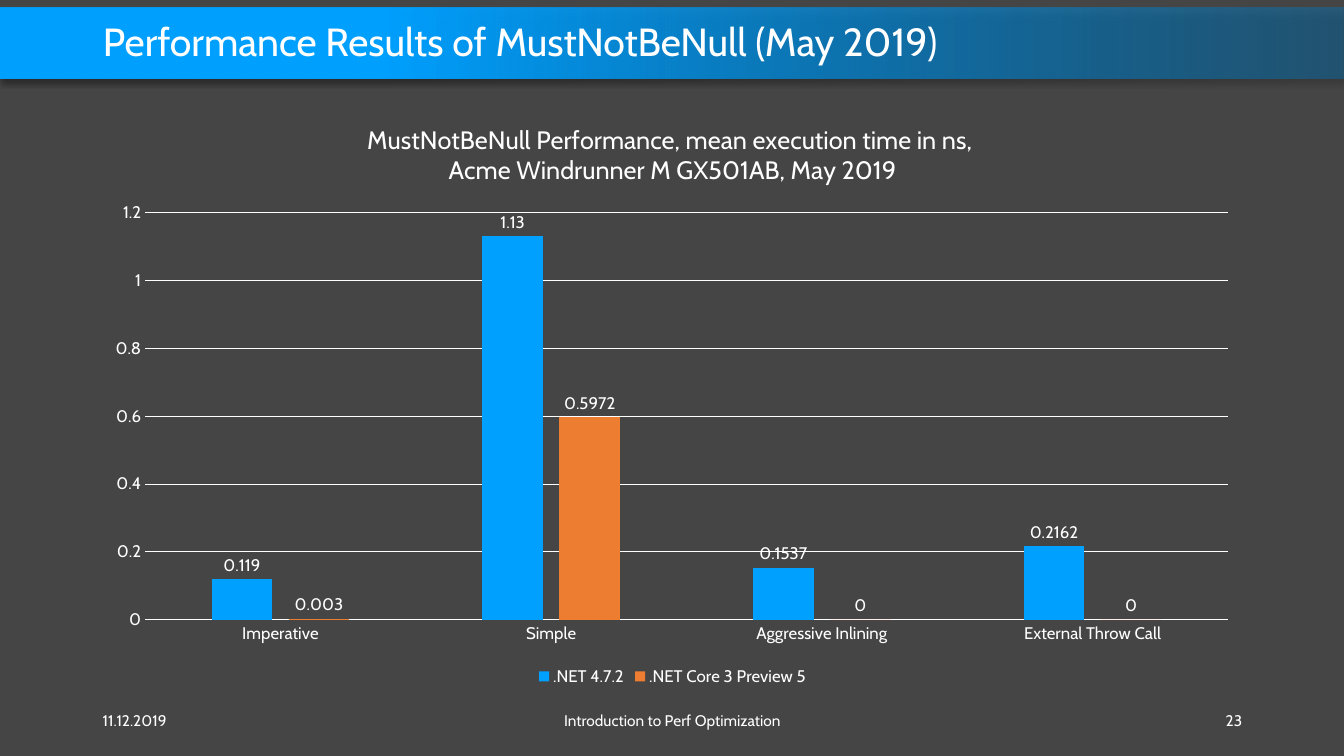
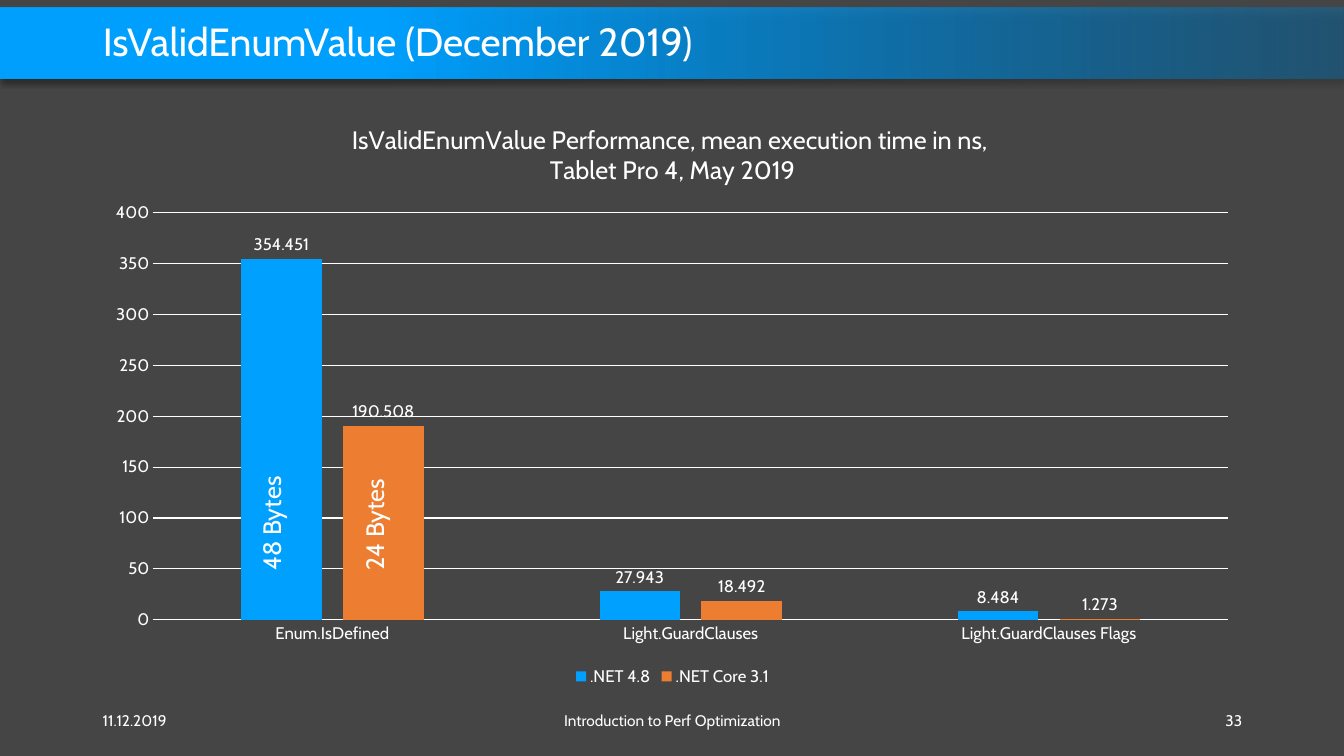
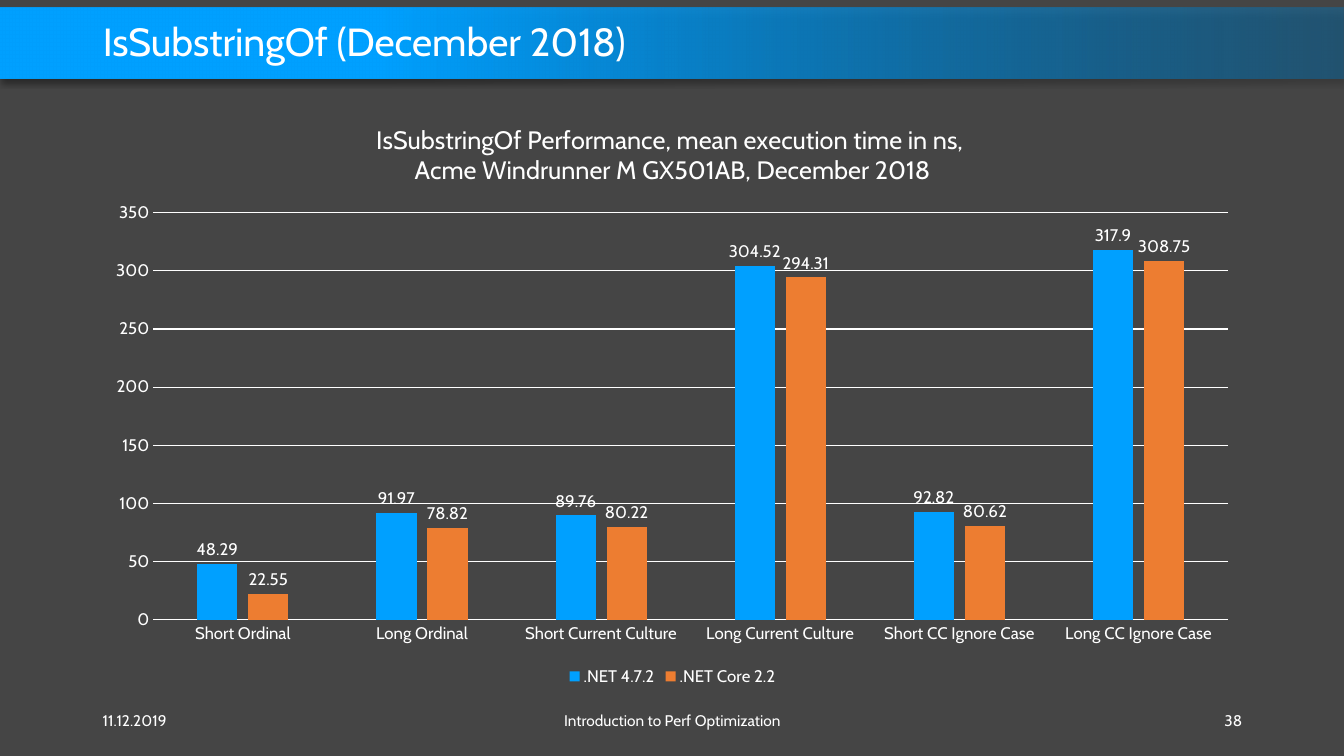
from lxml import etree
from pptx import Presentation
from pptx.chart.data import CategoryChartData
from pptx.dml.color import RGBColor
from pptx.enum.chart import XL_CHART_TYPE, XL_LABEL_POSITION, XL_LEGEND_POSITION, XL_TICK_MARK
from pptx.enum.shapes import MSO_SHAPE
from pptx.enum.text import MSO_ANCHOR, MSO_AUTO_SIZE, PP_ALIGN
from pptx.oxml import parse_xml
from pptx.oxml.ns import nsdecls, qn
from pptx.util import Inches, Pt

COLUMNS = XL_CHART_TYPE.COLUMN_CLUSTERED
OUTSIDE_END = XL_LABEL_POSITION.OUTSIDE_END
LEGEND_BOTTOM = XL_LEGEND_POSITION.BOTTOM
NO_TICK = XL_TICK_MARK.NONE
RECTANGLE = MSO_SHAPE.RECTANGLE
MIDDLE, TOP = MSO_ANCHOR.MIDDLE, MSO_ANCHOR.TOP
NO_FIT, GROW = MSO_AUTO_SIZE.NONE, MSO_AUTO_SIZE.SHAPE_TO_FIT_TEXT
LEFT, CENTER, RIGHT = PP_ALIGN.LEFT, PP_ALIGN.CENTER, PP_ALIGN.RIGHT

FONT = "Cabin"
COLORS = {
    "page": "454545",
    "text": "FFFFFF",
    "band_fade": "0078BF",
    "blue": "00A0FF",
    "orange": "ED7D31",
}

# Boxes are left, top, width, height in inches
SLIDE_SIZE = (13.33, 7.5)
BAND_BOX = (0, 0.08, SLIDE_SIZE[0], 0.7)
TITLE_BOX = (0.92, 0.16, 11.5, 0.55)
CHART_BOX = (0.92, 1.02, 11.5, 5.83)
FOOTER_BOX = (0.92, 6.95, 11.5, 0.4)
PLOT_TOP, PLOT_RIGHT, PLOT_BOTTOM = 1.09, 11.26, 5.13  # inside the chart box

DATE = "11.12.2019"
TALK = "Introduction to Perf Optimization"

PAGES = [
    {
        "title": "Performance Results of MustNotBeNull (May 2019)",
        "number": "23",
        "heading": ["MustNotBeNull Performance, mean execution time in ns, ",
                    "Acme Windrunner M GX501AB, May 2019"],
        "categories": ["Imperative", "Simple", "Aggressive Inlining", "External Throw Call"],
        "series": {".NET 4.7.2": [0.119, 1.13, 0.1537, 0.2162],
                   ".NET Core 3 Preview 5": [0.003, 0.5972, 0, 0]},
        "scale": {"minimum_scale": 0, "maximum_scale": 1.2, "major_unit": 0.2},
        "plot_left": 0.52,
    },
    {
        "title": "IsValidEnumValue (December 2019)",
        "number": "33",
        "heading": ["IsValidEnumValue Performance, mean execution time in ns, ",
                    "Tablet Pro 4, May 2019"],
        "categories": ["Enum.IsDefined", "Light.GuardClauses", "Light.GuardClauses Flags"],
        "series": {".NET 4.8": [354.451, 27.943, 8.484],
                   ".NET Core 3.1": [190.508, 18.492, 1.273]},
        "scale": {"minimum_scale": 0, "maximum_scale": 400, "major_unit": 50},
        "plot_left": 0.6,
        "bar_notes": ["48 Bytes", "24 Bytes"],
    },
    {
        "title": "IsSubstringOf (December 2018)",
        "number": "38",
        "heading": ["IsSubstringOf Performance, mean execution time in ns, ",
                    "Acme Windrunner M GX501AB, December 2018"],
        "categories": ["Short Ordinal", "Long Ordinal", "Short Current Culture",
                       "Long Current Culture", "Short CC Ignore Case", "Long CC Ignore Case"],
        "series": {".NET 4.7.2": [48.29, 91.97, 89.76, 304.52, 92.82, 317.9],
                   ".NET Core 2.2": [22.55, 78.82, 80.22, 294.31, 80.62, 308.75]},
        "scale": {"minimum_scale": 0, "maximum_scale": 350, "major_unit": 50},
        "plot_left": 0.6,
    },
]


def rgb(name):
    return RGBColor.from_string(COLORS[name])


def inches(box):
    return [Inches(length) for length in box]


def apply(target, values):
    for name, value in values.items():
        setattr(target, name, value)


def style_font(font, size):
    apply(font, {"name": FONT, "size": Pt(size), "bold": False})
    font.color.rgb = rgb("text")


def style_line(line):
    line.color.rgb = rgb("text")
    line.width = Pt(0.75)


def write(frame, text, size, align=LEFT, anchor=MIDDLE, fit=NO_FIT):
    apply(frame, {"word_wrap": True, "auto_size": fit, "vertical_anchor": anchor})
    para = frame.paragraphs[0]
    para.alignment = align
    span = para.add_run()
    span.text = text
    style_font(span.font, size)
    return para


def add_text(slide, box, text, size, **layout):
    shape = slide.shapes.add_textbox(*inches(box))
    write(shape.text_frame, text, size, **layout)
    return shape


# Shared background and fading band, placed on the layout
def add_band(layout, slide, box):
    layout.background.fill.solid()
    layout.background.fill.fore_color.rgb = rgb("page")

    band = slide.shapes.add_shape(RECTANGLE, *inches(box))
    band.line.fill.background()
    band.fill.gradient()
    band.fill.gradient_angle = 180
    for stop, (position, color) in zip(band.fill.gradient_stops,
                                       [(0, "band_fade"), (0.72, "blue")]):
        stop.position = position
        stop.color.rgb = rgb(color)
    faded = band.element.xpath(".//a:gs/a:srgbClr")[0]
    etree.SubElement(faded, qn("a:alpha"), val="40000")

    band.shadow.inherit = False
    effects = band.element.xpath("./p:spPr/a:effectLst")[0]
    effects.append(parse_xml(
        f'<a:outerShdw {nsdecls("a")} blurRad="{Pt(4)}" dist="{Pt(3)}" dir="5400000" '
        'algn="t" rotWithShape="0"><a:srgbClr val="000000"><a:alpha val="40000"/>'
        '</a:srgbClr></a:outerShdw>'))
    layout.shapes.element.insert(2, band.element)


def add_title(slide, box, text):
    title = slide.shapes.title
    apply(title, dict(zip(("left", "top", "width", "height"), inches(box))))
    write(title.text_frame, text, 28).line_spacing = 0.9


def add_footer(slide, box, number):
    left, top, width, height = box
    parts = [(DATE, 3, LEFT, 0), (TALK, 4.5, CENTER, 0.5), (number, 3, RIGHT, 1)]
    for text, part_width, align, share in parts:
        part_left = left + (width - part_width) * share
        add_text(slide, (part_left, top, part_width, height), text, 11, align=align)


# Chart parts
def add_heading(chart, lines):
    frame = chart.chart_title.text_frame
    for index, line in enumerate(lines):
        para = frame.paragraphs[0] if index == 0 else frame.add_paragraph()
        span = para.add_run()
        span.text = line
        style_font(span.font, 18)


def style_axes(chart, scale):
    for axis in (chart.category_axis, chart.value_axis):
        apply(axis, {"major_tick_mark": NO_TICK, "minor_tick_mark": NO_TICK})
        style_font(axis.tick_labels.font, 12)
    style_line(chart.category_axis.format.line)
    apply(chart.value_axis, scale)
    chart.value_axis.format.line.fill.background()
    style_line(chart.value_axis.major_gridlines.format.line)


def style_columns(plot):
    apply(plot, {"gap_width": 219, "overlap": -27, "vary_by_categories": False})
    for series, color in zip(plot.series, ("blue", "orange")):
        series.format.fill.solid()
        series.format.fill.fore_color.rgb = rgb(color)
        series.invert_if_negative = False
        labels = series.data_labels
        apply(labels, {"show_value": True, "position": OUTSIDE_END})
        style_font(labels.font, 12)


def place_plot(chart, box, plot_left):
    width, height = box[2:]
    shares = {
        "x": plot_left / width,
        "y": PLOT_TOP / height,
        "w": (PLOT_RIGHT - plot_left) / width,
        "h": (PLOT_BOTTOM - PLOT_TOP) / height,
    }
    area = chart.element.xpath("./c:chart/c:plotArea")[0]
    for old in area.findall(qn("c:layout")):
        area.remove(old)
    layout = etree.Element(qn("c:layout"))
    manual = etree.SubElement(layout, qn("c:manualLayout"))
    etree.SubElement(manual, qn("c:layoutTarget"), val="inner")
    for mode in ("xMode", "yMode"):
        etree.SubElement(manual, qn(f"c:{mode}"), val="edge")
    for name, share in shares.items():
        etree.SubElement(manual, qn(f"c:{name}"), val=f"{share:.4f}")
    area.insert(0, layout)


def add_column_chart(slide, box, page):
    data = CategoryChartData()
    data.categories = page["categories"]
    for name, values in page["series"].items():
        data.add_series(name, values)
    chart = slide.shapes.add_chart(COLUMNS, *inches(box), data).chart
    style_font(chart.font, 10)
    add_heading(chart, page["heading"])
    apply(chart, {"has_legend": True})
    apply(chart.legend, {"position": LEGEND_BOTTOM, "include_in_layout": False})
    style_font(chart.legend.font, 12)
    style_axes(chart, page["scale"])
    style_columns(chart.plots[0])
    place_plot(chart, box, page["plot_left"])


# Upright notes on the first pair of columns
def add_bar_notes(slide, box, notes):
    for index, note in enumerate(notes):
        note_box = (box[0] + 1.57 + 1.02 * index, box[1] + 3.51, 0.5, 1.23)
        shape = add_text(slide, note_box, note, 18, anchor=TOP, fit=GROW)
        shape.element.xpath(".//a:bodyPr")[0].set("vert", "vert270")


def main():
    deck = Presentation()
    deck.slide_width, deck.slide_height = inches(SLIDE_SIZE)
    layout = deck.slide_layouts.get_by_name("Title Only")
    for index, page in enumerate(PAGES):
        slide = deck.slides.add_slide(layout)
        if index == 0:
            add_band(layout, slide, BAND_BOX)
        add_title(slide, TITLE_BOX, page["title"])
        add_column_chart(slide, CHART_BOX, page)
        add_footer(slide, FOOTER_BOX, page["number"])
        add_bar_notes(slide, CHART_BOX, page.get("bar_notes", []))
    deck.save("out.pptx")


if __name__ == "__main__":
    main()
